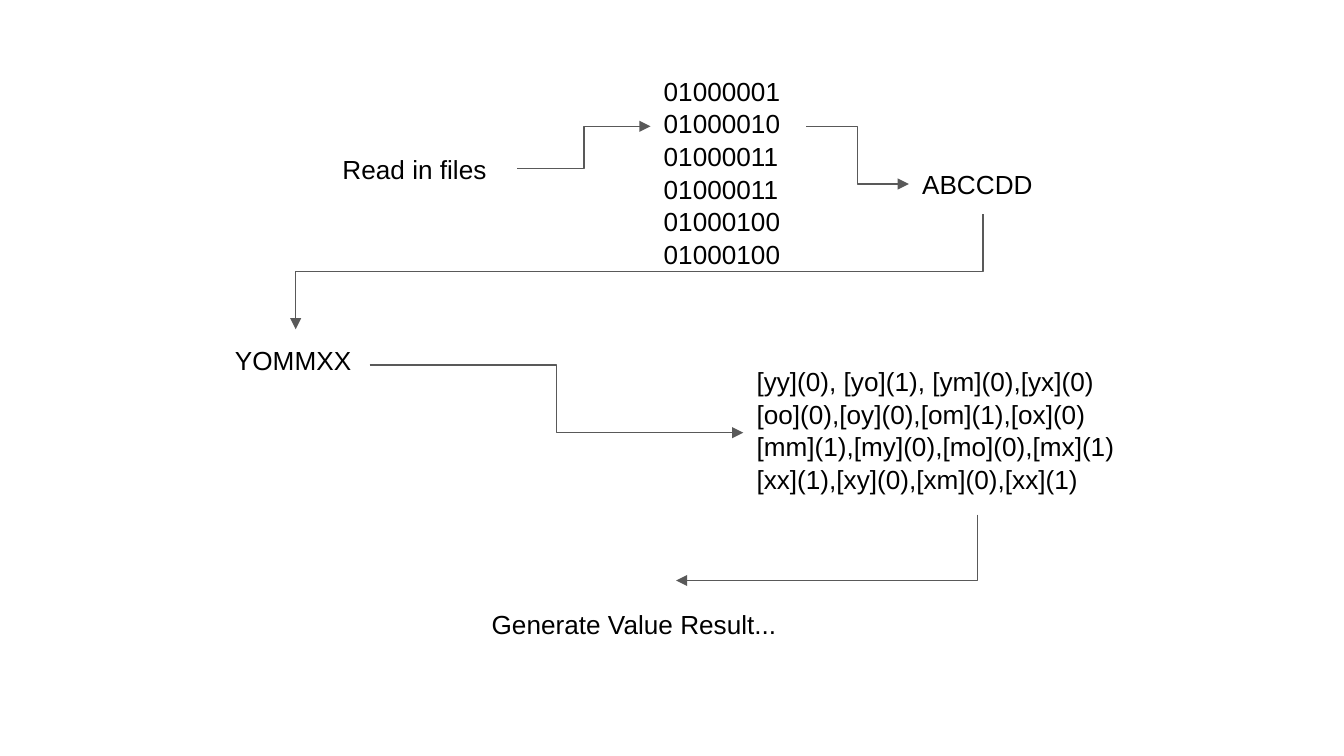
from lxml import etree
from pptx import Presentation
from pptx.dml.color import RGBColor
from pptx.enum import shapes, text
from pptx.oxml import ns
from pptx.util import Pt

INK, GREY = "000000", "595959"
FONT = {"name": "Arial", "size": Pt(14)}
FRAME = dict.fromkeys(
    ("margin_left", "margin_top", "margin_right", "margin_bottom"), Pt(7.2))
FRAME.update(word_wrap=True, vertical_anchor=text.MSO_ANCHOR.TOP)

# Each step: left, top, width, height and its paragraphs
STEPS = {
    "read": (176.4, 74.2, 100.8, 32.4, ["Read in files"]),
    "bits": (348.5, 32.4, 83.5, 70.6, ["01000001 01000010 01000011",
                                       "01000011 01000100 01000100"]),
    "code": (486.9, 82.4, 79.2, 32.4, ["ABCCDD"]),
    "map": (118.8, 176.4, 79.2, 38.2, ["YOMMXX"]),
    "pairs": (398.2, 187.9, 250.6, 87.8, ["[yy](0), [yo](1), [ym](0),[yx](0)",
                                          "[oo](0),[oy](0),[om](1),[ox](0)",
                                          "[mm](1),[my](0),[mo](0),[mx](1)",
                                          "[xx](1),[xy](0),[xm](0),[xx](1)"]),
    "result": (256.3, 318.2, 197.3, 38.2, ["Generate Value Result..."]),
}


def paint(value):
    """Turn a hex string into a colour."""
    return RGBColor.from_string(value)


def apply(item, values):
    """Set attributes from a dict."""
    for key, value in values.items():
        setattr(item, key, value)


def label(slide, left, top, width, height, lines):
    """Place one step's text in its box."""
    frame = slide.shapes.add_textbox(
        Pt(left), Pt(top), Pt(width), Pt(height)).text_frame
    apply(frame, FRAME)
    frame.text = "\n".join(lines)
    for para in frame.paragraphs:
        para.line_spacing = 1.04
        apply(para.runs[0].font, FONT)
        para.runs[0].font.color.rgb = paint(INK)


def edge(name, across, down):
    """Find a point at a share of a step's width and height."""
    left, top, width, height, _ = STEPS[name]
    return left + across * width, top + down * height


def arrow(slide, start, end, turn=False, bend="bentConnector3"):
    """Join two points by an elbow arrow; turn makes it leave downwards."""
    (x1, y1), (x2, y2) = start, end
    if turn:
        midx, midy = (x1 + x2) / 2, (y1 + y2) / 2
        halfw, halfh = (y2 - y1) / 2, (x1 - x2) / 2
        x1, x2 = midx - halfw, midx + halfw
        y1, y2 = midy - halfh, midy + halfh
    link = slide.shapes.add_connector(
        shapes.MSO_CONNECTOR.ELBOW, Pt(x1), Pt(y1), Pt(x2), Pt(y2))
    link.line.width = Pt(0.75)
    link.line.color.rgb = paint(GREY)
    props = link._element.spPr
    props.find(ns.qn("a:prstGeom")).set("prst", bend)
    if turn:
        props.find(ns.qn("a:xfrm")).set("rot", "5400000")
    tip = etree.SubElement(props.find(ns.qn("a:ln")), ns.qn("a:tailEnd"))
    apply_xml = {"type": "triangle", "w": "med", "len": "med"}
    for key, value in apply_xml.items():
        tip.set(key, value)
    etree.SubElement(props, ns.qn("a:effectLst"))


def flow(slide):
    """Draw all steps and the arrows between them."""
    for step in STEPS.values():
        label(slide, *step)
    arrow(slide, edge("read", 1, 0.5), edge("bits", 0, 0.5))
    arrow(slide, edge("bits", 1, 0.5), edge("code", 0, 0.5))
    arrow(slide, edge("code", 0.5, 1), edge("map", 0.5, 0), turn=True)
    arrow(slide, edge("map", 1, 0.5), edge("pairs", 0, 0.5))
    arrow(slide, edge("pairs", 0.5, 1), (362.2, 311), turn=True,
          bend="bentConnector2")


def main():
    """Build and save the deck."""
    deck = Presentation()
    apply(deck, {"slide_width": Pt(720), "slide_height": Pt(405)})
    slide = deck.slides.add_slide(deck.slide_layouts.get_by_name("Blank"))
    flow(slide)
    deck.save("out.pptx")


main()
